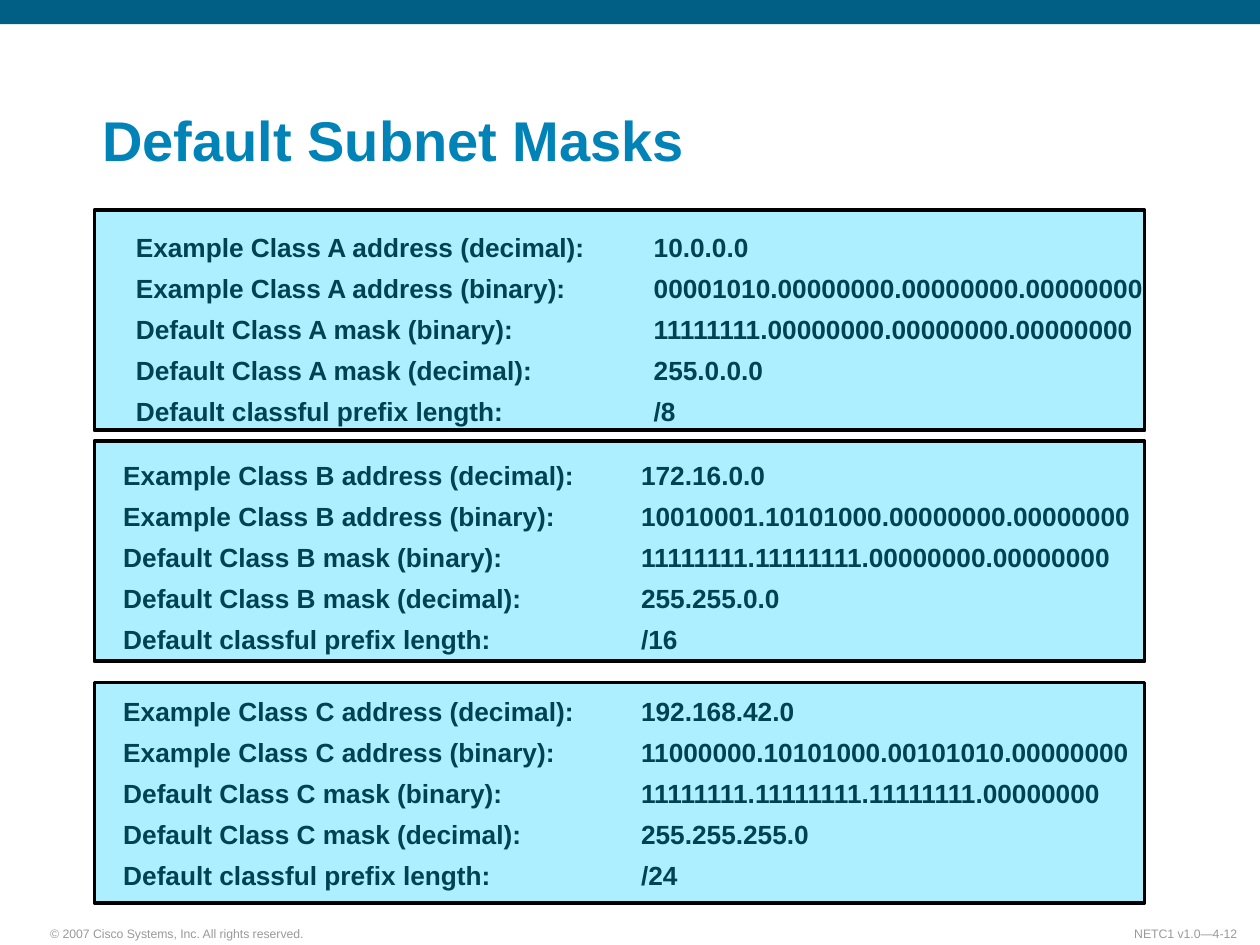
"""Build a slide that lists the default subnet mask of each address class."""
from dataclasses import dataclass

import pptx
import pptx.dml.color
import pptx.enum.shapes
import pptx.enum.text
import pptx.oxml.ns
import pptx.util
from lxml import etree

COLS, ROWS = 120, 90
CELL = pptx.util.Inches(10) // COLS


@dataclass(frozen=True)
class Theme:
    """Hold the colours and type sizes."""
    font: str = "Arial"
    bar: str = "015F85"
    title: str = "0183B7"
    ink: str = "000000"
    foot: str = "999999"
    panel: str = "00CCFF"
    alpha: int = 32
    head: float = 32
    body: float = 15
    small: float = 7


THEME = Theme()
ALIGN = pptx.enum.text.PP_ALIGN
ANCHOR = pptx.enum.text.MSO_ANCHOR

CLASSES = [
    ("A", (3.1, 1.9), ["10.0.0.0", "00001010.00000000.00000000.00000000",
                       "11111111.00000000.00000000.00000000", "255.0.0.0", "/8"]),
    ("B", (1.9, 1.6), ["172.16.0.0", "10010001.10101000.00000000.00000000",
                       "11111111.11111111.00000000.00000000", "255.255.0.0", "/16"]),
    ("C", (1.9, 1.1), ["192.168.42.0", "11000000.10101000.00101010.00000000",
                       "11111111.11111111.11111111.00000000", "255.255.255.0", "/24"]),
]
LABELS = ["Example Class {} address (decimal):", "Example Class {} address (binary):",
          "Default Class {} mask (binary):", "Default Class {} mask (decimal):",
          "Default classful prefix length:"]
TOPS = [20, 42, 65]


def grid(*cells):
    """Turn grid cells into slide lengths."""
    return [round(cell * CELL) for cell in cells]


def rgb(code):
    """Turn a hex code into a colour."""
    return pptx.dml.color.RGBColor.from_string(code)


def sub(node, tag, **attrs):
    """Append a drawing element to a node."""
    return etree.SubElement(node, pptx.oxml.ns.qn(tag), attrs)


def write(shape, lines, size, color, bold=False, align=ALIGN.LEFT,
          anchor=ANCHOR.TOP, inset=0.09, space=1.0, gap=0, tab=None):
    """Write lines of text into a shape in one format."""
    frame = shape.text_frame
    frame.word_wrap = True
    frame.auto_size = pptx.enum.text.MSO_AUTO_SIZE.NONE
    frame.vertical_anchor = anchor
    frame.margin_left = frame.margin_right = pptx.util.Inches(inset)
    frame.margin_top = frame.margin_bottom = pptx.util.Inches(0.04)
    for i, line in enumerate(lines):
        para = frame.add_paragraph() if i else frame.paragraphs[0]
        para.text = line
        if tab:
            stops = sub(para._p.get_or_add_pPr(), "a:tabLst")
            sub(stops, "a:tab", pos=str(pptx.util.Inches(tab)), algn="l")
        para.alignment = align
        para.line_spacing = space
        para.space_before = pptx.util.Pt(gap if i else 0)
        font = para.runs[0].font
        font.name, font.size, font.bold = THEME.font, pptx.util.Pt(size), bold
        font.color.rgb = rgb(color)


def rect(slide, box, fill, alpha=None, line=None):
    """Draw a filled rectangle, clear and outlined on request."""
    shape = slide.shapes.add_shape(
        pptx.enum.shapes.MSO_SHAPE.RECTANGLE, *grid(*box))
    shape.shadow.inherit = False
    shape.fill.solid()
    shape.fill.fore_color.rgb = rgb(fill)
    if alpha:
        tone = shape.fill._xPr.find(".//" + pptx.oxml.ns.qn("a:srgbClr"))
        sub(tone, "a:alpha", val=str(alpha * 1000))
    if line:
        shape.line.color.rgb = rgb(line)
        shape.line.width = pptx.util.Pt(2.25)
    else:
        shape.line.fill.background()


def head(slide, box):
    """Place the slide title."""
    title = slide.shapes.title
    title.left, title.top, title.width, title.height = grid(*box)
    write(title, ["Default Subnet Masks"], THEME.head, THEME.title,
          bold=True, anchor=ANCHOR.BOTTOM, space=0.9)


def foot(slide, box):
    """Place the rights line and the page mark at the two ends of a box."""
    left, top, width, height = box
    parts = [("© 2007 Cisco Systems, Inc. All rights reserved.", left, 28, ALIGN.LEFT),
             ("NETC1 v1.0—4-12", left + width - 16, 16, ALIGN.RIGHT)]
    for text, x, span, align in parts:
        note = slide.shapes.add_textbox(*grid(x, top, span, height))
        write(note, [text], THEME.small, THEME.foot, align=align,
              anchor=ANCHOR.BOTTOM)


def panel(slide, box, name, shift, values):
    """Place one address class as tabbed text under a clear panel."""
    left, top, width, height = box
    spot = grid(left + shift[0], top + shift[1], width - 1.6, height - 2.3)
    lines = [f"{label.format(name)}\t{value}"
             for label, value in zip(LABELS, values)]
    write(slide.shapes.add_textbox(*spot), lines, THEME.body, THEME.ink,
          bold=True, inset=0.07, space=0.9, gap=7.2, tab=4.11)
    rect(slide, box, THEME.panel, alpha=THEME.alpha, line=THEME.ink)


def main():
    """Build and save the slide."""
    deck = pptx.Presentation()
    deck.slide_width, deck.slide_height = grid(COLS, ROWS)
    slide = deck.slides.add_slide(deck.slide_layouts[5])
    rect(slide, (0, 0, COLS, 2.3), THEME.bar)
    foot(slide, (3.7, 87.6, 115.2, 2.5))
    head(slide, (8.65, 6, 106.9, 11))
    for top, group in zip(TOPS, CLASSES):
        panel(slide, (9, top, 100, 21), *group)
    deck.save("out.pptx")


if __name__ == "__main__":
    main()
